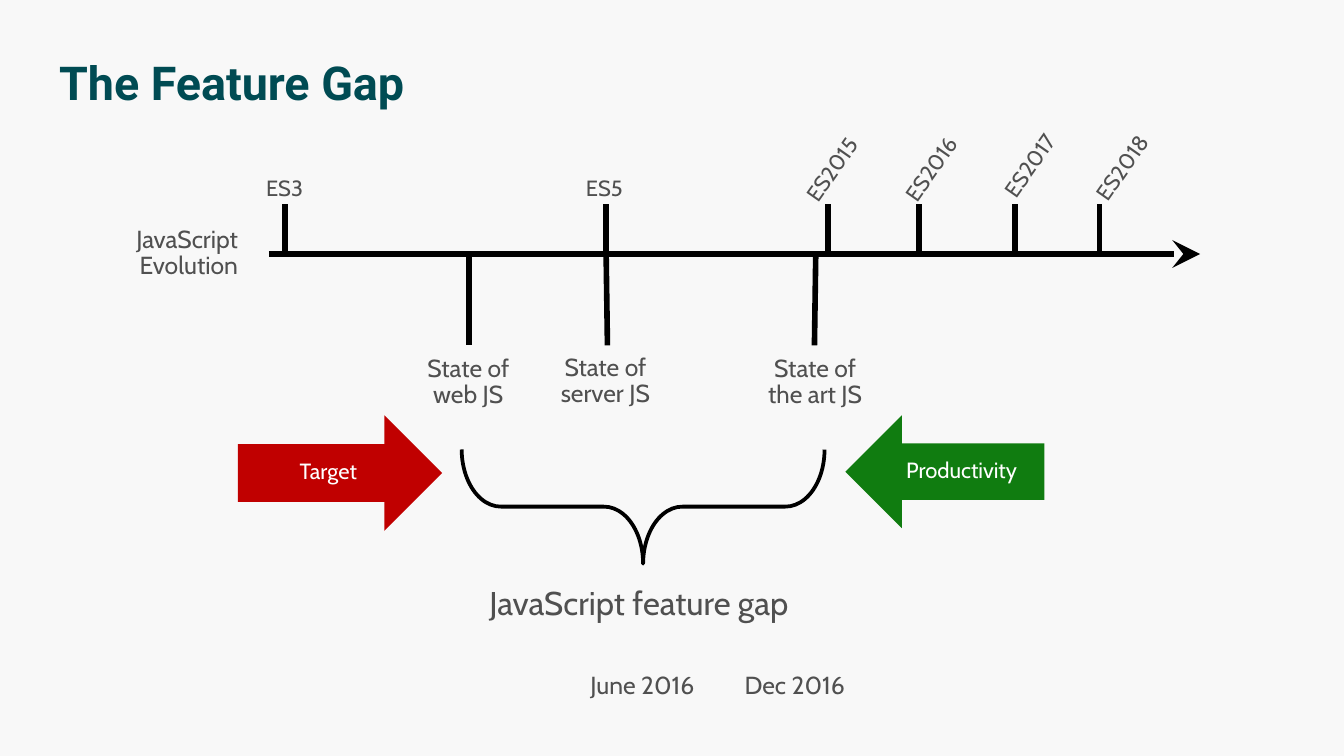
from lxml import etree
from pptx import Presentation
from pptx.dml.color import RGBColor
from pptx.enum.shapes import MSO_CONNECTOR, MSO_SHAPE
from pptx.enum.text import MSO_ANCHOR, PP_ALIGN
from pptx.oxml.ns import qn
from pptx.util import Inches, Pt

STRAIGHT = MSO_CONNECTOR.STRAIGHT
RIGHT_ARROW, LEFT_ARROW = MSO_SHAPE.RIGHT_ARROW, MSO_SHAPE.LEFT_ARROW
RIGHT_BRACE = MSO_SHAPE.RIGHT_BRACE
LEFT, CENTER, RIGHT = PP_ALIGN.LEFT, PP_ALIGN.CENTER, PP_ALIGN.RIGHT
TOP, MIDDLE = MSO_ANCHOR.TOP, MSO_ANCHOR.MIDDLE

BACKGROUND = RGBColor(0xF8, 0xF8, 0xF8)
TEAL = RGBColor(0x00, 0x4B, 0x53)
GRAY = RGBColor(0x50, 0x50, 0x50)
BLACK = RGBColor(0x00, 0x00, 0x00)
WHITE = RGBColor(0xFF, 0xFF, 0xFF)
RED = RGBColor(0xC0, 0x00, 0x00)
GREEN = RGBColor(0x10, 0x7C, 0x10)

AXIS_Y = 1.89
TICK_TOP = 1.52
STATE_BOTTOM = 2.57
LABEL_INSETS = (0.15, 0.12, 0.15, 0.12)
EDITION_INSETS = (0.15, 0.15, 0, 0.12)

# tick x, label, label left, top, width, rotation
EDITIONS = [
    (2.12, "ES3", 1.83, 1.22, 0.61, 0),
    (4.51, "ES5", 4.21, 1.22, 0.61, 0),
    (6.16, "ES2015", 5.78, 1.04, 0.9, 305),
    (6.84, "ES2016", 6.53, 1.06, 0.84, 305),
    (7.55, "ES2017", 7.26, 1.02, 0.87, 305),
    (8.18, "ES2018", 7.94, 1.04, 0.88, 305),
]
# line start x, line end x, label, label left, top, width
STATES = [
    (3.49, 3.49, "State of\nweb JS", 2.9, 2.53, 1.17),
    (4.51, 4.52, "State of server JS", 3.92, 2.52, 1.17),
    (6.07, 6.06, "State of\nthe art JS", 5.42, 2.53, 1.29),
]


def set_text(tf, text, size, color, align, insets, anchor=TOP, font="Cabin"):
    """Fill a text frame; insets are left, top, right, bottom in inches."""
    tf.word_wrap = True
    tf.vertical_anchor = anchor
    tf.margin_left, tf.margin_top, tf.margin_right, tf.margin_bottom = map(Inches, insets)
    p = tf.paragraphs[0]
    p.text = text.replace("\n", "\v")
    p.alignment = align
    p.font.size = Pt(size)
    p.font.name = font
    p.font.color.rgb = color
    return p


def add_title(s, text):
    title = s.shapes.title
    title.left, title.top = Inches(0.34), Inches(0.3)
    title.width, title.height = Inches(3.98), Inches(1.08)
    p = set_text(title.text_frame, text, 25, TEAL, LEFT, [0.1] * 4, font="Roboto")
    p.font.bold = True


def add_label(s, text, x, y, w, h, size=13.2, align=CENTER, rotation=0, insets=LABEL_INSETS):
    sp = s.shapes.add_textbox(Inches(x), Inches(y), Inches(w), Inches(h))
    sp.rotation = rotation
    p = set_text(sp.text_frame, text, size, GRAY, align, insets)
    p.line_spacing = 0.9


def add_line(s, x1, y1, x2, y2, arrow=False):
    line = s.shapes.add_connector(STRAIGHT, Inches(x1), Inches(y1), Inches(x2), Inches(y2))
    line.line.color.rgb = BLACK
    line.line.width = Pt(3)
    if arrow:
        ln = line.line._get_or_add_ln()
        etree.SubElement(ln, qn("a:tailEnd"), type="stealth", w="lg", len="lg")
    etree.SubElement(line._element.spPr, qn("a:effectLst"))


def add_block_arrow(s, kind, text, x, w, h, color):
    sp = s.shapes.add_shape(kind, Inches(x), Inches(3.09), Inches(w), Inches(h))
    sp.shadow.inherit = False
    sp.fill.solid()
    sp.fill.fore_color.rgb = color
    sp.line.fill.background()
    set_text(sp.text_frame, text, 11.8, WHITE, CENTER, (0.07, 0.03, 0.03, 0.06), MIDDLE)


def add_brace(s):
    sp = s.shapes.add_shape(RIGHT_BRACE, Inches(4.36), Inches(2.42), Inches(0.85), Inches(2.7))
    sp.rotation = 90
    sp.adjustments[0] = 0.343
    sp.shadow.inherit = False
    sp.fill.background()
    sp.line.color.rgb = BLACK
    sp.line.width = Pt(2)


def add_states(s):
    for start, end, text, x, y, w in STATES:
        add_line(s, start, AXIS_Y, end, STATE_BOTTOM)
        add_label(s, text, x, y, w, 0.64)


def add_timeline(s):
    add_line(s, 2, AXIS_Y, 8.93, AXIS_Y, arrow=True)
    add_label(s, "JavaScript\nEvolution", 0.65, 1.57, 1.27, 0.64, align=RIGHT)
    for tick, text, x, y, w, rotation in EDITIONS:
        add_line(s, tick, TICK_TOP, tick, AXIS_Y)
        add_label(s, text, x, y, w, 0.42, 11.8, LEFT, rotation, EDITION_INSETS)


def main():
    prs = Presentation()
    prs.slide_width = Inches(10)
    prs.slide_height = prs.slide_width * 9 // 16
    s = prs.slides.add_slide(prs.slide_layouts[5])
    s.background.fill.solid()
    s.background.fill.fore_color.rgb = BACKGROUND

    add_title(s, "The Feature Gap")
    add_states(s)
    add_brace(s)
    add_label(s, "JavaScript feature gap", 1.16, 4.25, 7.19, 0.5, 17.6)
    add_block_arrow(s, RIGHT_ARROW, "Target", 1.77, 1.52, 0.86, RED)
    add_block_arrow(s, LEFT_ARROW, "Productivity", 6.29, 1.48, 0.84, GREEN)
    add_timeline(s)
    add_label(s, "June 2016", 4.1, 4.91, 1.36, 0.44)
    add_label(s, "Dec 2016", 5.39, 4.91, 1.54, 0.44, align=LEFT)
    prs.save("out.pptx")


if __name__ == "__main__":
    main()
